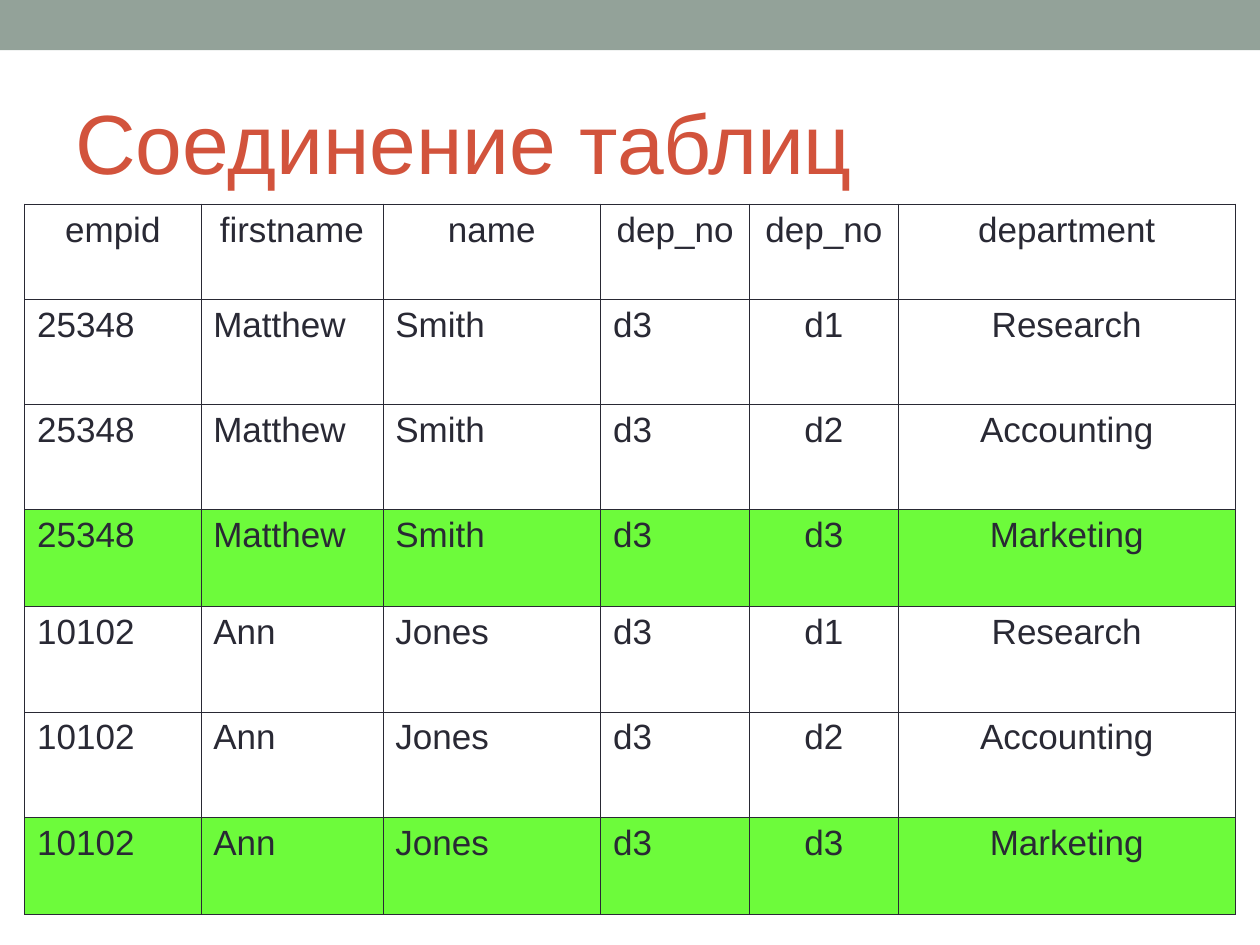
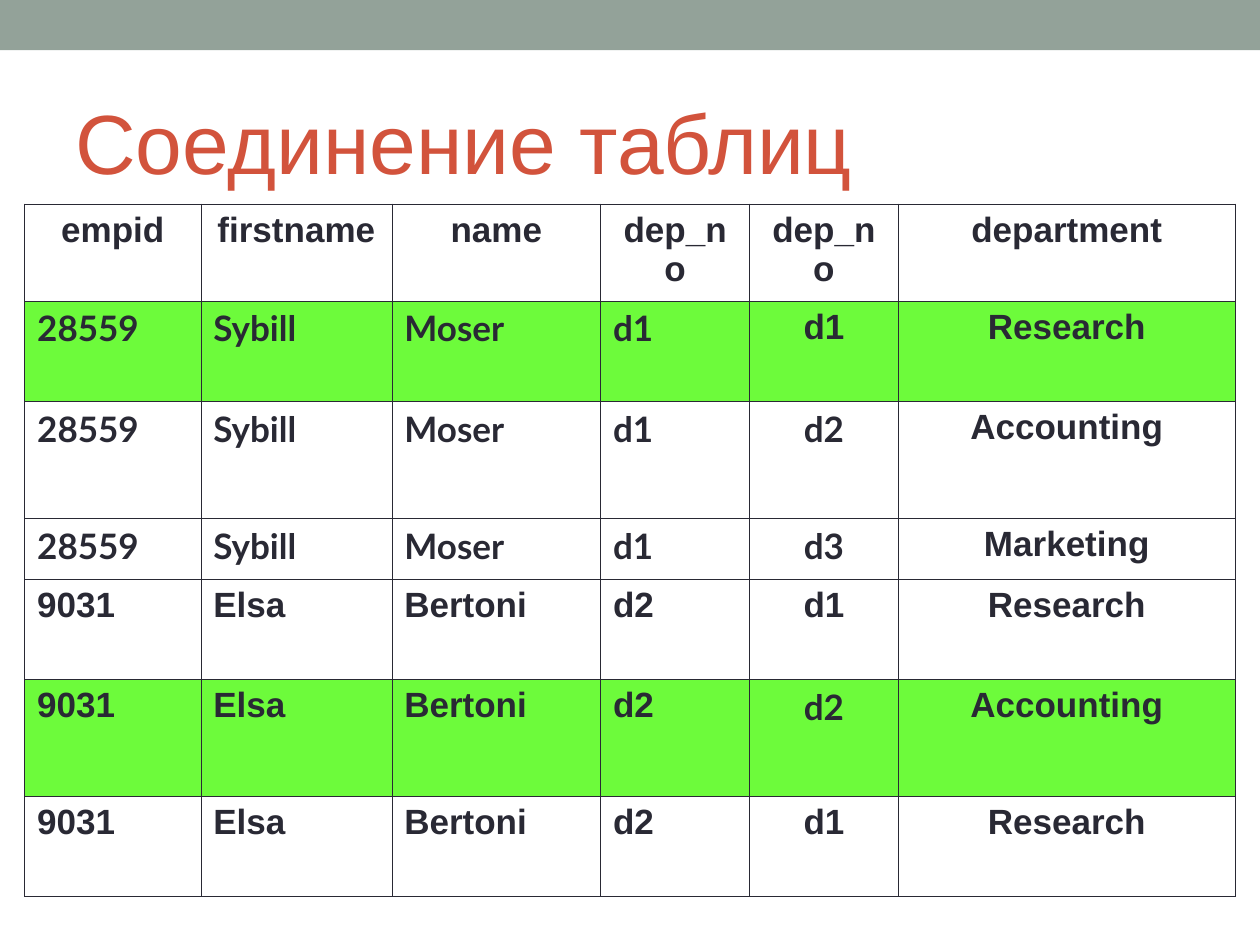
from lxml.etree import SubElement
from pptx import Presentation
from pptx.dml.color import RGBColor
from pptx.enum.shapes import MSO_SHAPE
from pptx.enum.text import MSO_ANCHOR, PP_ALIGN
from pptx.oxml.ns import qn
from pptx.util import Cm, Pt

SAGE = RGBColor(0x93, 0xA2, 0x99)
RUST = RGBColor(0xD2, 0x53, 0x3C)
INK = RGBColor(0x29, 0x29, 0x34)
LIME = RGBColor(0x6D, 0xFB, 0x3B)

WIDE, HIGH = 25.4, 19.05
BAND = (0, 0, WIDE, 1.01)
TITLE = (1.27, 1.47, 22.86, 2.74)
GRID = (0.5, 4.11)
INSET = {"margin_left": Cm(0.25), "margin_right": Cm(0.25),
         "margin_top": Cm(0.13), "margin_bottom": Cm(0.13)}
HEAD = ("empid", "firstname", "name", "dep_no", "dep_no", "department")
UNITS = {"d1": "Research", "d2": "Accounting", "d3": "Marketing"}


def put(item, style):
    """Set each attribute of the item named in style."""
    for key, value in style.items():
        setattr(item, key, value)


def write(para, text, color, style):
    """Add one formatted run to a paragraph."""
    run = para.add_run()
    run.text = text
    put(run.font, style)
    run.font.color.rgb = color


def frame(slide, text):
    """Draw the top band and the title."""
    band = slide.shapes.add_shape(MSO_SHAPE.RECTANGLE, *map(Cm, BAND))
    band.shadow.inherit = False
    band.fill.solid()
    band.fill.fore_color.rgb = SAGE
    band.line.fill.background()
    body = slide.shapes.add_textbox(*map(Cm, TITLE)).text_frame
    put(body, {**INSET, "word_wrap": True,
               "vertical_anchor": MSO_ANCHOR.MIDDLE})
    write(body.paragraphs[0], text, RUST, {"name": "Arial", "size": Pt(48)})


def outline(cell):
    """Draw thin lines on all four sides of a cell."""
    props = cell._tc.get_or_add_tcPr()
    for side in ("lnL", "lnR", "lnT", "lnB"):
        line = SubElement(props, qn("a:" + side), w=str(Pt(0.45)))
        fill = SubElement(line, qn("a:solidFill"))
        SubElement(fill, qn("a:srgbClr"), val=str(INK))


def join(person, own, keys):
    """Pair one person with the departments under the given keys."""
    return [(*person, own, key, UNITS[key]) for key in keys]


def grid(slide, spot, cols, highs, rows, bold=False, lato=()):
    """Draw a joined table at spot; rows whose two keys match are green."""
    size = sum(cols), sum(highs)
    table = slide.shapes.add_table(
        len(highs), len(cols), *map(Cm, spot + size)).table
    put(table, {"first_row": False, "horz_banding": False})
    for col, wide in zip(table.columns, cols):
        col.width = Cm(wide)
    for i, (high, row) in enumerate(zip(highs, [HEAD, *rows])):
        table.rows[i].height = Cm(high)
        match = i > 0 and row[3] == row[4]
        for j, text in enumerate(row):
            cell = table.cell(i, j)
            put(cell, INSET)
            outline(cell)
            if match:
                cell.fill.solid()
                cell.fill.fore_color.rgb = LIME
            else:
                cell.fill.background()
            para = cell.text_frame.paragraphs[0]
            mid = i == 0 or j > 3
            put(para, {"space_before": Pt(5),
                       "alignment": PP_ALIGN.CENTER if mid else PP_ALIGN.LEFT})
            face = "Lato" if (i, j) in lato else "Arial"
            write(para, text, INK,
                  {"name": face, "size": Pt(20), "bold": bold})


def main():
    """Build both slides and save them."""
    deck = Presentation()
    put(deck, {"slide_width": Cm(WIDE), "slide_height": Cm(HIGH)})
    lato = {(i, j) for i in (1, 2, 3) for j in range(4)}
    lato |= {(2, 4), (3, 4), (5, 4)}
    tables = [
        {"cols": (3.55, 3.67, 4.39, 3, 3, 6.79),
         "highs": (1.92, 2.12, 2.12, 1.96, 2.12, 2.12, 1.96),
         "rows": join(("25348", "Matthew", "Smith"), "d3", UNITS)
         + join(("10102", "Ann", "Jones"), "d3", UNITS)},
        {"cols": (3.55, 3.85, 4.21, 3, 3, 6.79),
         "highs": (1.83, 2.02, 2.36, 1.23, 2.02, 2.36, 2.02),
         "rows": join(("28559", "Sybill", "Moser"), "d1", UNITS)
         + join(("9031", "Elsa", "Bertoni"), "d2", ("d1", "d2", "d1")),
         "bold": True, "lato": lato},
    ]
    for data in tables:
        slide = deck.slides.add_slide(deck.slide_layouts[6])
        frame(slide, "Соединение таблиц")
        grid(slide, GRID, **data)
    deck.save("out.pptx")


main()
